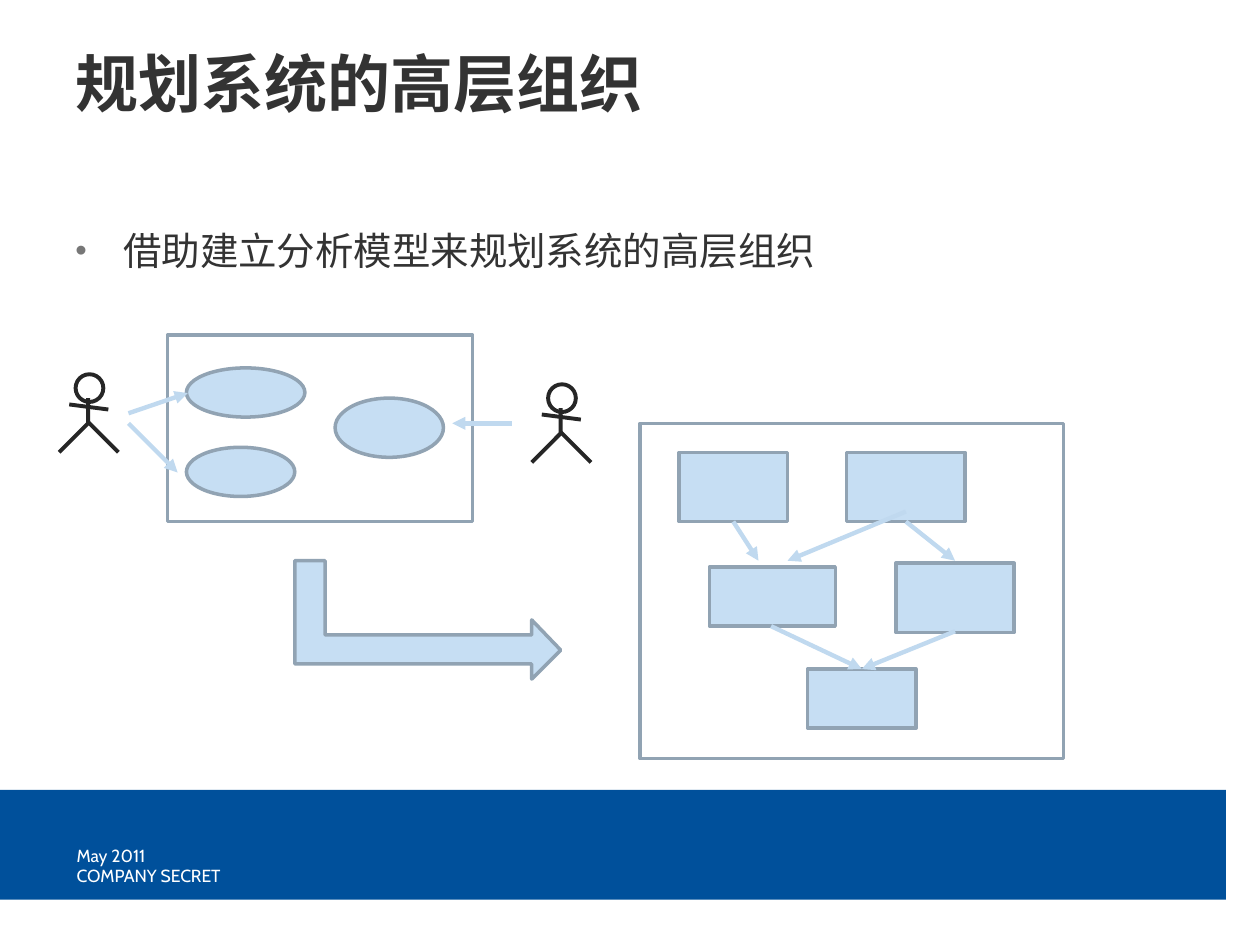
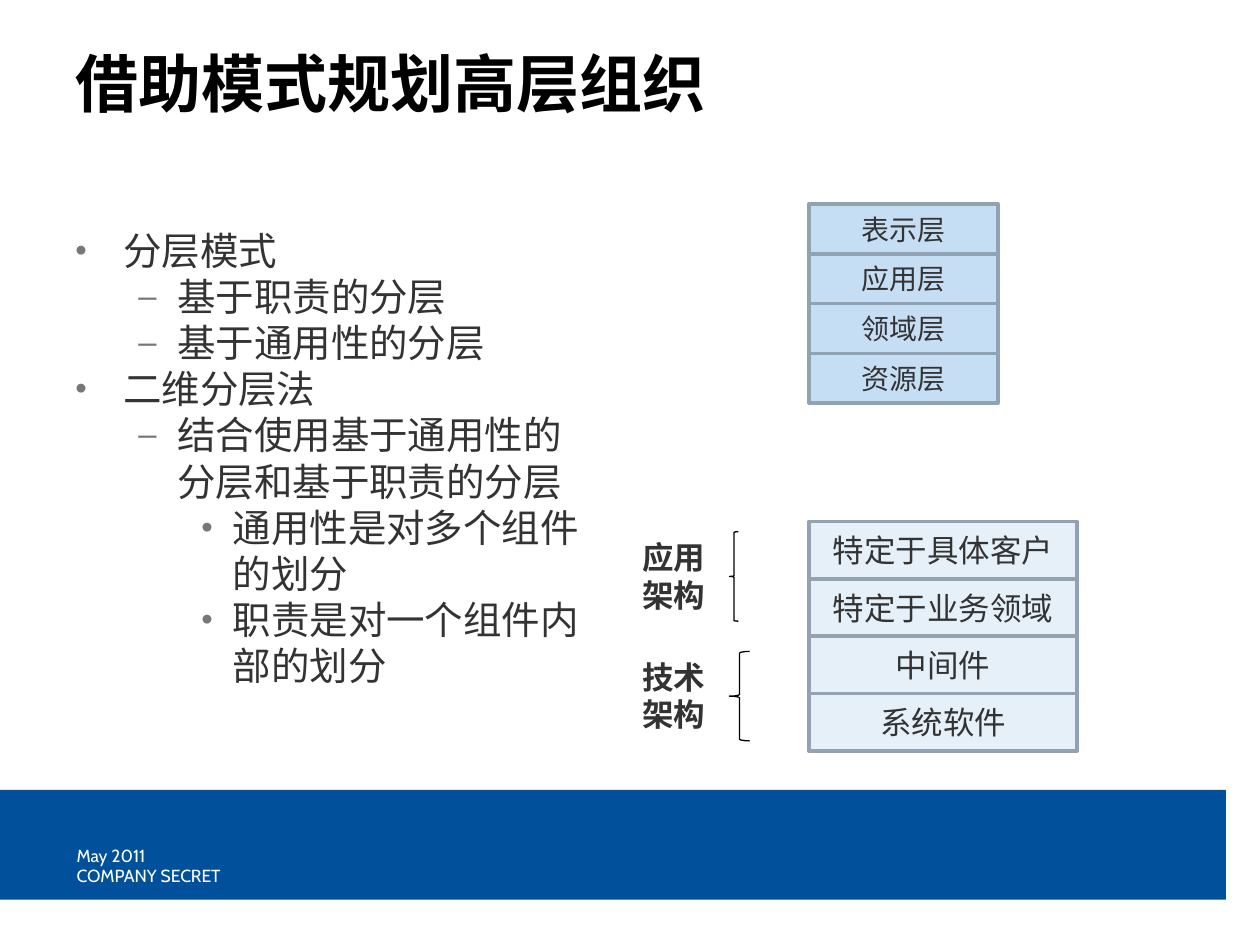
from lxml import etree
from pptx import Presentation
from pptx.dml.color import RGBColor
from pptx.enum import shapes, text
from pptx.oxml.ns import qn
from pptx.util import Inches, Pt

COLORS = {
    "band": "00509B",
    "white": "FFFFFF",
    "black": "000000",
    "ink": "333333",
    "figure": "262626",
    "bullet": "777777",
    "fill": "C6DEF3",
    "border": "91A3B3",
    "arrow": "C0D9EF",
}
BULLETS = [("•", 0.38, 0.38), ("–", 0.81, 0.31), ("•", 1.25, 0.25)]
RECT = shapes.MSO_SHAPE.RECTANGLE
OVAL = shapes.MSO_SHAPE.OVAL


def rgb(name):
    return RGBColor.from_string(COLORS[name])


def lengths(*values):
    return [Inches(value) for value in values]


def add_child(parent, tag, **attributes):
    return etree.SubElement(parent, qn(tag), attributes)


def style_shape(shape, fill, line, width):
    shape.shadow.inherit = False
    if fill:
        shape.fill.solid()
        shape.fill.fore_color.rgb = rgb(fill)
    else:
        shape.fill.background()
    if line:
        shape.line.color.rgb = rgb(line)
        shape.line.width = Pt(width)
    else:
        shape.line.fill.background()
    return shape


def add_preset(page, kind, area, fill="fill", line="border", width=2):
    shape = page.shapes.add_shape(kind, *lengths(*area))
    return style_shape(shape, fill, line, width)


def add_outline(page, points, closed, fill, line, width):
    corners = [lengths(*point) for point in points]
    builder = page.shapes.build_freeform(*corners[0], scale=1.0)
    builder.add_line_segments(corners[1:], close=closed)
    return style_shape(builder.convert_to_shape(), fill, line, width)


def add_line(page, start, end, color, width):
    line = page.shapes.add_connector(
        shapes.MSO_CONNECTOR.STRAIGHT, *lengths(*start, *end))
    line.line.color.rgb = rgb(color)
    line.line.width = Pt(width)
    add_child(line._element.spPr, "a:effectLst")
    return line


def add_arrow(page, start, end):
    arrow = add_line(page, start, end, "arrow", 2.5)
    outline = arrow._element.spPr.find(qn("a:ln"))
    add_child(outline, "a:tailEnd", type="triangle")


def add_span(para, words, size, font, color="ink", bold=False):
    span = para.add_run()
    span.text = words
    span.font.size = Pt(size)
    span.font.name = font
    span.font.bold = bold
    span.font.color.rgb = rgb(color)


def add_text(page, area, words, size, font, color="ink", bold=False):
    box = page.shapes.add_textbox(*lengths(*area))
    box.text_frame.word_wrap = True
    add_span(box.text_frame.paragraphs[0], words, size, font, color, bold)


def set_bullet(para, level):
    mark, margin, hanging = BULLETS[level]
    para.level = level
    properties = para._p.get_or_add_pPr()
    properties.set("marL", str(Inches(margin)))
    properties.set("indent", str(-Inches(hanging)))
    color = add_child(properties, "a:buClr")
    add_child(color, "a:srgbClr", val=COLORS["bullet"])
    add_child(properties, "a:buSzPct", val="85000")
    add_child(properties, "a:buFont", typeface="Arial")
    add_child(properties, "a:buChar", char=mark)


def add_bullets(page, width, items):
    box = page.shapes.add_textbox(*lengths(0.5, 1.75, width, 4.13))
    frame = box.text_frame
    frame.word_wrap = True
    for index, (level, words) in enumerate(items):
        para = frame.add_paragraph() if index else frame.paragraphs[0]
        set_bullet(para, level)
        add_span(para, words, 22, "Cabin")


def add_page(deck, title, color):
    page = deck.slides.add_slide(deck.slide_layouts[6])
    add_preset(page, RECT, (0, 6.27, 9.73, 0.87), "band", None)
    add_text(page, (0.51, 6.66, 0.82, 0.27), "May 2011", 10, "Cabin", "white")
    add_text(page, (0.51, 6.82, 3.15, 0.27), "COMPANY SECRET", 10, "Cabin", "white")
    add_text(page, (0.5, 0.3, 7.41, 1.25), title, 36, "Roboto", color, True)
    return page


def add_actor(page, left, top):
    def at(x, y):
        return left + x, top + y

    pen = ("figure", 2.25)
    add_preset(page, OVAL, (*at(0.13, 0), 0.22, 0.22), None, *pen)
    add_line(page, at(0.08, 0.24), at(0.39, 0.28), *pen)
    add_outline(page, [at(0.23, 0.19), at(0.23, 0.39), at(0, 0.62)], False, None, *pen)
    add_line(page, at(0.23, 0.38), at(0.47, 0.62), *pen)


def add_stack(page, top, width, height, size, layers, opacity=None):
    step = height / len(layers)
    for index, words in enumerate(layers):
        layer = add_preset(page, RECT, (6.42, top + index * step, width, step))
        if opacity:
            color = layer._element.spPr.find(qn("a:solidFill"))[0]
            add_child(color, "a:alpha", val=str(opacity * 1000))
        frame = layer.text_frame
        frame.vertical_anchor = text.MSO_ANCHOR.MIDDLE
        para = frame.paragraphs[0]
        para.alignment = text.PP_ALIGN.CENTER
        add_span(para, words, size, "Cabin")


def add_analysis_page(deck):
    page = add_page(deck, "规划系统的高层组织", "ink")
    add_bullets(page, 7.41, [(0, "借助建立分析模型来规划系统的高层组织")])

    add_preset(page, RECT, (5.08, 3.36, 3.36, 2.66), None)
    for area in [(5.39, 3.59, 0.86, 0.55), (6.72, 3.59, 0.94, 0.55),
                 (5.63, 4.5, 1, 0.47), (7.11, 4.47, 0.94, 0.55),
                 (6.41, 5.31, 0.86, 0.47)]:
        add_preset(page, RECT, area)

    add_preset(page, RECT, (1.33, 2.66, 2.42, 1.48), None)
    for area in [(1.48, 2.92, 0.94, 0.39), (1.48, 3.55, 0.86, 0.39),
                 (2.66, 3.16, 0.86, 0.47)]:
        add_preset(page, OVAL, area)

    add_actor(page, 0.47, 2.97)
    add_actor(page, 4.22, 3.05)
    for start, end in [((5.82, 4.14), (6.02, 4.45)), ((7.19, 4.06), (6.25, 4.45)),
                       ((6.12, 4.97), (6.84, 5.31)), ((7.19, 4.14), (7.58, 4.45)),
                       ((7.58, 5.01), (6.84, 5.31)), ((1.02, 3.28), (1.49, 3.12)),
                       ((1.02, 3.36), (1.41, 3.75)), ((4.06, 3.36), (3.59, 3.36))]:
        add_arrow(page, start, end)

    bent_arrow = [(2.58, 4.45), (2.58, 5.04), (4.22, 5.04), (4.22, 4.92), (4.45, 5.16),
                  (4.22, 5.39), (4.22, 5.27), (2.34, 5.27), (2.34, 4.45)]
    add_outline(page, bent_arrow, True, "fill", "border", 2)


def add_layers_page(deck):
    page = add_page(deck, "借助模式规划高层组织", "black")
    add_bullets(page, 4.34, [
        (0, "分层模式"),
        (1, "基于职责的分层"),
        (1, "基于通用性的分层"),
        (0, "二维分层法"),
        (1, "结合使用基于通用性的分层和基于职责的分层"),
        (2, "通用性是对多个组件的划分"),
        (2, "职责是对一个组件内部的划分"),
    ])
    add_stack(page, 1.62, 1.5, 1.58, 16, ["表示层", "应用层", "领域层", "资源层"])
    add_stack(page, 4.14, 2.13, 1.82, 18,
              ["特定于具体客户", "特定于业务领域", "中间件", "系统软件"], 45)
    for words, top, width in [("应用架构", 4.22, 0.07), ("技术架构", 5.17, 0.16)]:
        add_text(page, (5, top, 0.78, 0.7), words, 18, "Arial", bold=True)
        add_preset(page, shapes.MSO_SHAPE.LEFT_BRACE, (5.79, top, width, 0.71),
                   None, "black", 0.75)


def main():
    deck = Presentation()
    deck.slide_width, deck.slide_height = lengths(10, 7.5)
    add_analysis_page(deck)
    add_layers_page(deck)
    deck.save("out.pptx")


if __name__ == "__main__":
    main()
